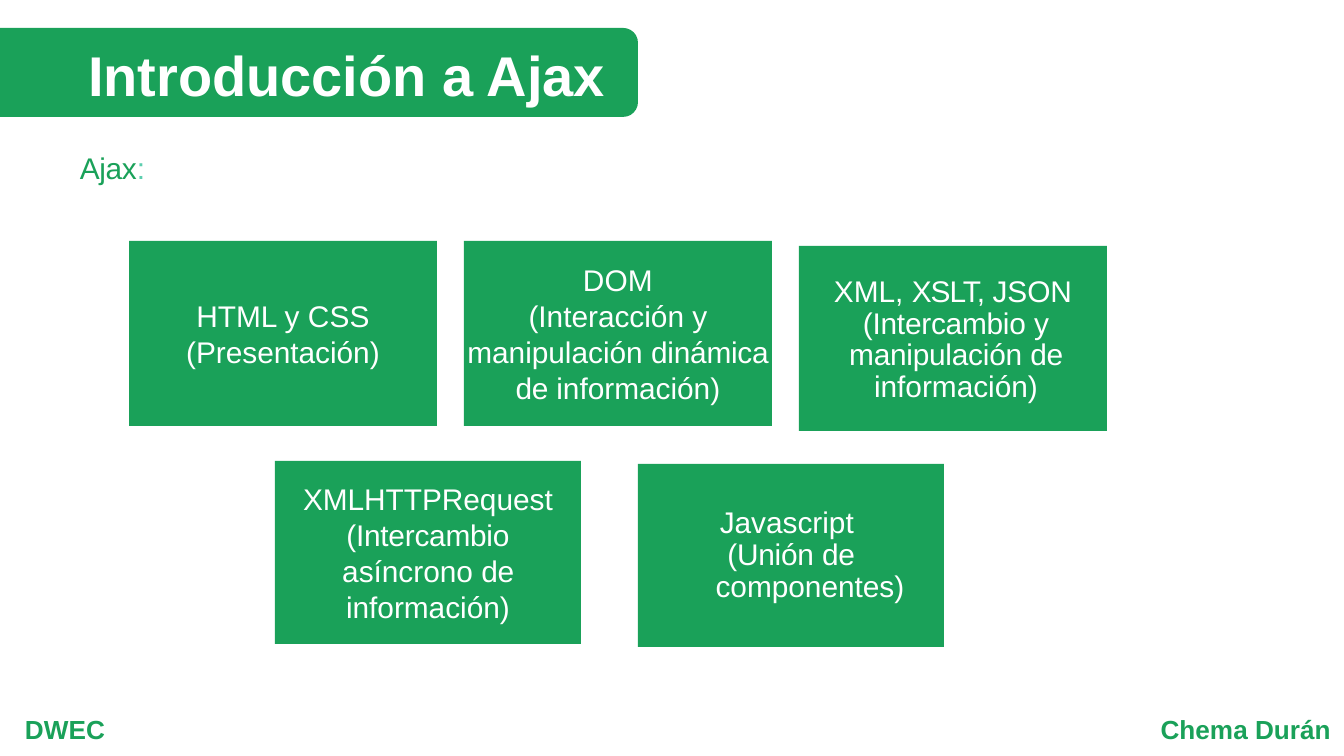
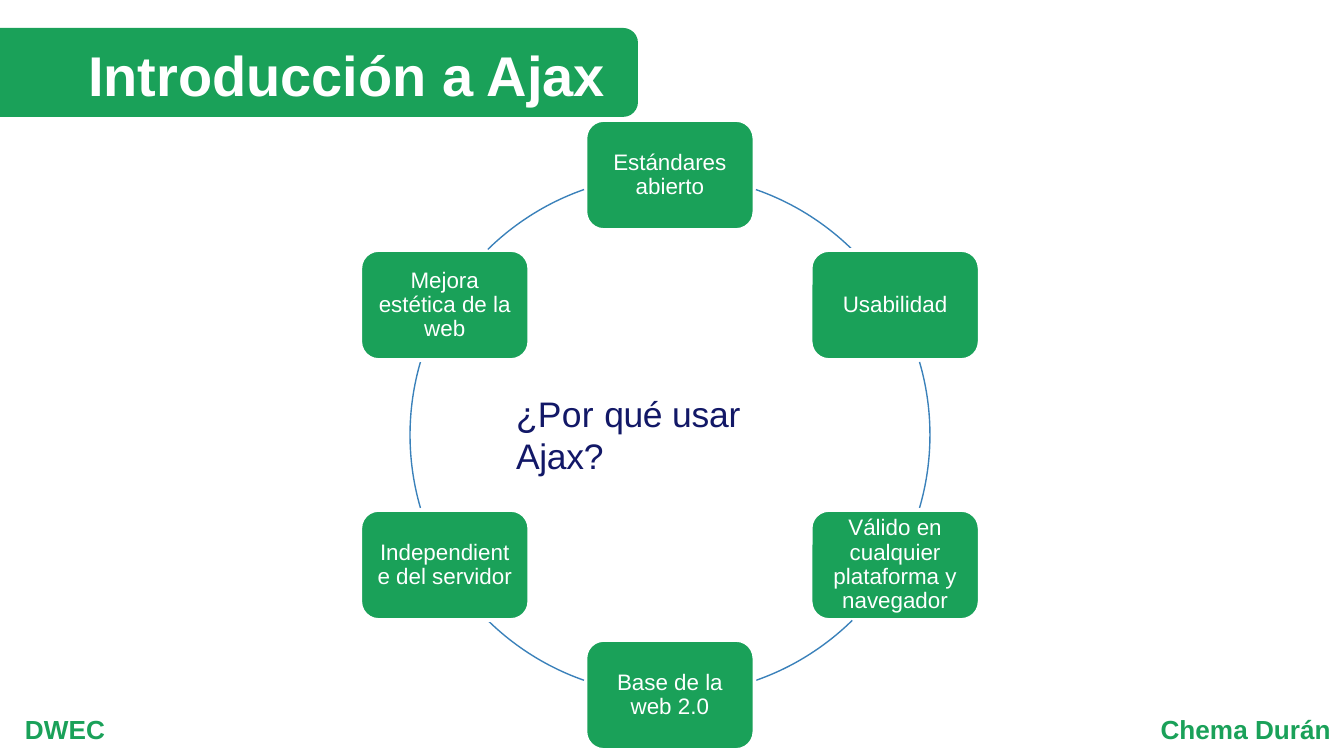
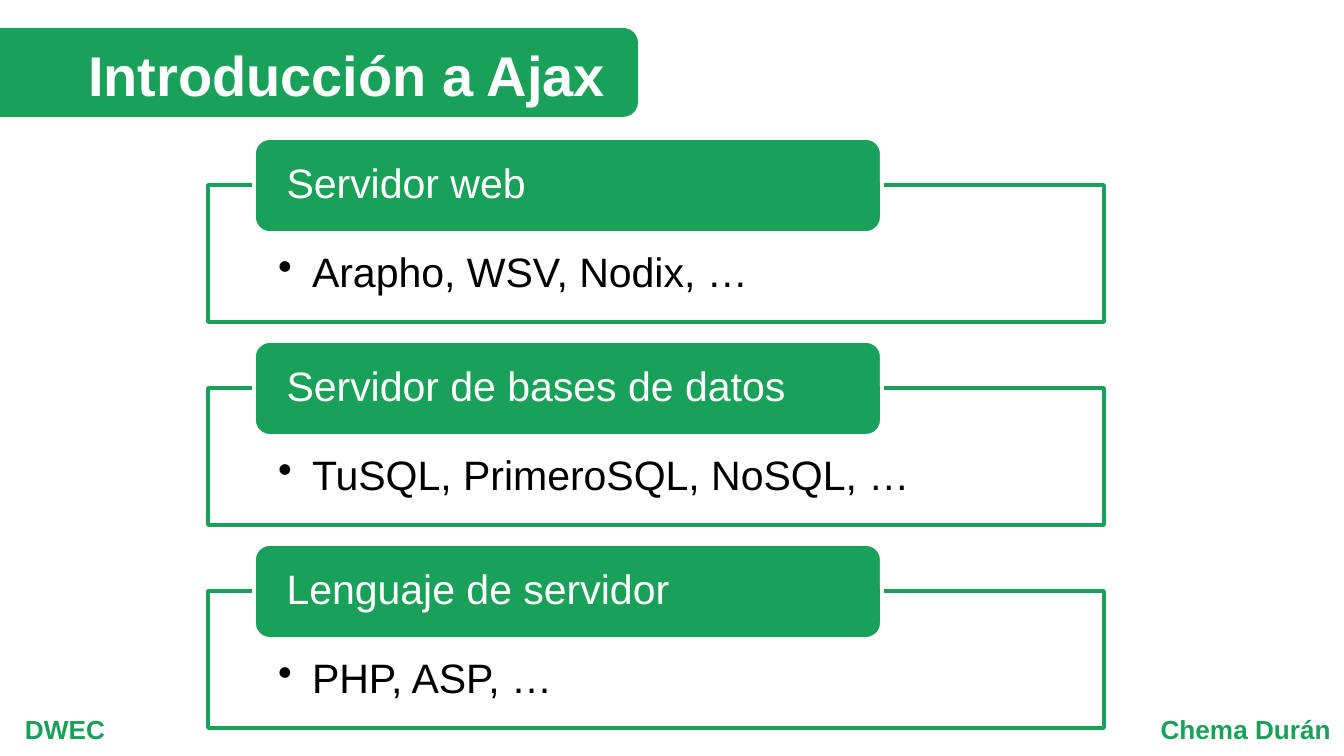
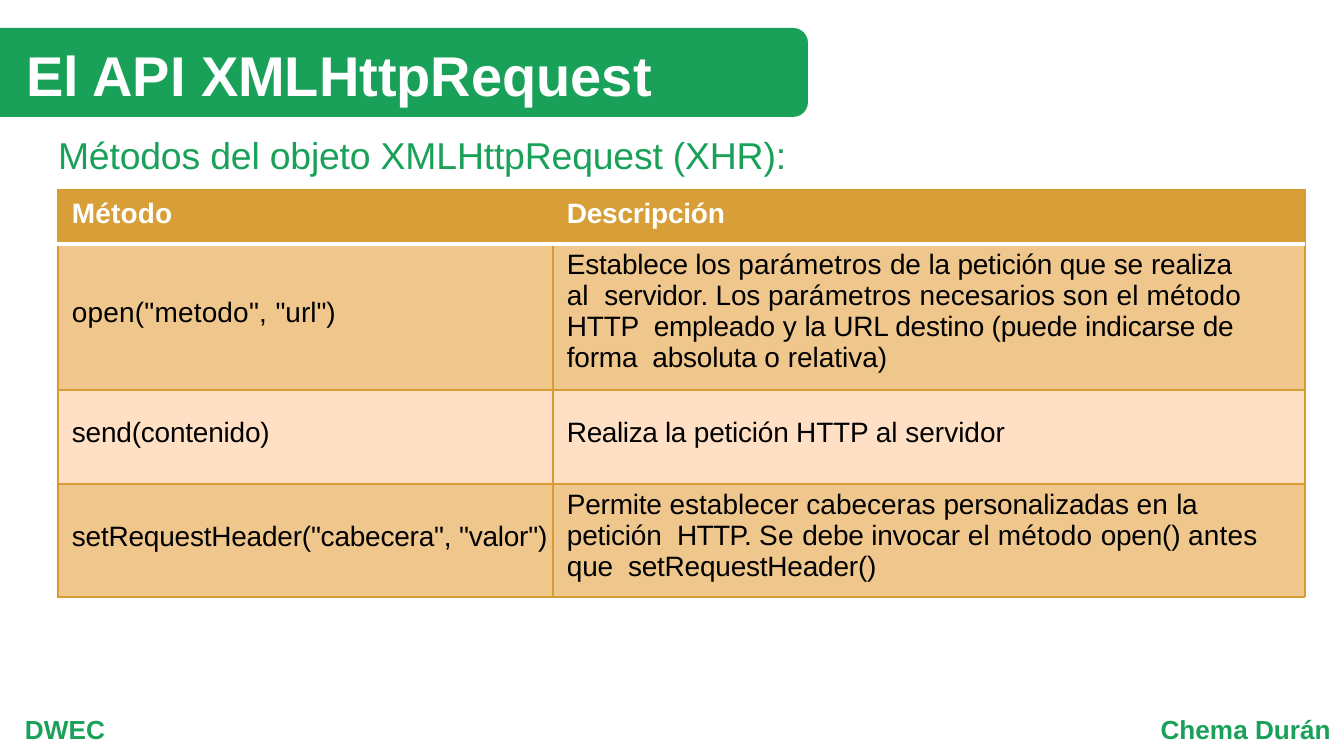
from dataclasses import dataclass
from math import cos, radians, sin

from lxml import etree
from pptx import Presentation
from pptx.dml.color import RGBColor
from pptx.enum.shapes import MSO_SHAPE as SHAPE
from pptx.enum.text import MSO_ANCHOR as ANCHOR, MSO_AUTO_SIZE as AUTO, PP_ALIGN as ALIGN
from pptx.oxml.ns import qn
from pptx.util import Emu, Pt

GREEN = RGBColor(0x1A, 0xA1, 0x59)
MINT = RGBColor(0x5D, 0xCE, 0xAF)
WHITE = RGBColor(0xFF, 0xFF, 0xFF)
BLACK = RGBColor(0, 0, 0)
NAVY = RGBColor(0x12, 0x18, 0x67)
BLUE = RGBColor(0x3A, 0x81, 0xBA)
GOLD = RGBColor(0xD8, 0x9F, 0x39)
GOLD_LINE = RGBColor(0xD7, 0x9D, 0x34)
SAND = RGBColor(0xEF, 0xC6, 0x8C)
CREAM = RGBColor(0xFF, 0xE0, 0xC4)

FONT = "Arial"
WIDTH, HEIGHT = 1344, 756
SCALE = 914400 / 134.4


def px(n):
    return Emu(round(n * SCALE))


@dataclass
class Para:
    """Runs are (text, letter spacing in points[, colour]); lengths are px."""
    runs: list
    left: int = 0
    right: int = 0
    indent: int = 0
    line: object = None
    bullet: str = ""


def plain(text, **fmt):
    return Para([(text, 0)], **fmt)


class Deck:
    def __init__(self):
        self.prs = Presentation()
        self.prs.slide_width, self.prs.slide_height = px(WIDTH), px(HEIGHT)
        self.slide = None

    # Slide with title band and footers
    def new_slide(self, title, band_width, indent=0):
        self.slide = self.prs.slides.add_slide(self.prs.slide_layouts[5])
        top, height = 28, 89
        band = self.shape(SHAPE.ROUND_2_SAME_RECTANGLE, (band_width - height) / 2,
                          top + (height - band_width) / 2, height, band_width, GREEN)
        band.rotation = 90
        sp = self.slide.shapes.title
        sp.element.addprevious(band.element)
        sp.left, sp.top, sp.width, sp.height = px(13), px(top), px(band_width - 13), px(60)
        self.set_text(sp.text_frame, [plain(title, left=indent)], 30, WHITE, bold=True)
        self.text(952, 700, 392, 64, [plain("Chema Durán")], 14, GREEN,
                  bold=True, align=ALIGN.RIGHT)
        self.text(12, 700, 392, 64, [plain("DWEC")], 14, GREEN, bold=True)

    def shape(self, kind, x, y, w, h, fill=None, line=None, line_pt=2):
        sp = self.slide.shapes.add_shape(kind, px(x), px(y), px(w), px(h))
        sp.shadow.inherit = False
        if fill is None:
            sp.fill.background()
        else:
            sp.fill.solid()
            sp.fill.fore_color.rgb = fill
        if line is None:
            sp.line.fill.background()
        else:
            sp.line.color.rgb = line
            sp.line.width = Pt(line_pt)
        return sp

    def text(self, x, y, w, h, paras, size, color, **style):
        sp = self.slide.shapes.add_textbox(px(x), px(y), px(w), px(h))
        self.set_text(sp.text_frame, paras, size, color, **style)

    def set_text(self, tf, paras, size, color, bold=False, align=ALIGN.LEFT,
                 anchor=ANCHOR.TOP, inset=(13, 13, 13, 13)):
        tf.word_wrap = True
        tf.auto_size = AUTO.NONE
        tf.vertical_anchor = anchor
        tf.margin_left, tf.margin_top, tf.margin_right, tf.margin_bottom = map(px, inset)
        self.fill_text(tf, paras, size, color, bold, align)

    def fill_text(self, tf, paras, size, color, bold=False, align=ALIGN.LEFT):
        for i, para in enumerate(paras):
            p = tf.paragraphs[0] if i == 0 else tf.add_paragraph()
            p.alignment = align
            if para.line:
                p.line_spacing = para.line
            pPr = p._p.get_or_add_pPr()
            for name, value in (("marL", para.left), ("marR", para.right),
                                ("indent", para.indent)):
                pPr.set(name, str(px(value)))
            if para.bullet:
                etree.SubElement(pPr, qn("a:buChar")).set("char", para.bullet)
            for text, spacing, *own in para.runs:
                for n, part in enumerate(text.split("\n")):
                    if n:
                        p.add_line_break()
                    if not part:
                        continue
                    r = p.add_run()
                    r.text = part
                    r.font.name, r.font.size, r.font.bold = FONT, Pt(size), bold
                    r.font.color.rgb = own[0] if own else color
                    if spacing:
                        r._r.get_or_add_rPr().set("spc", str(round(spacing * 100)))

    def table(self, x, y, widths, heights):
        frame = self.slide.shapes.add_table(len(heights), len(widths), px(x), px(y),
                                            px(sum(widths)), px(sum(heights)))
        tbl = frame.table
        for col, w in zip(tbl.columns, widths):
            col.width = px(w)
        for row, h in zip(tbl.rows, heights):
            row.height = px(h)
        return tbl

    def cell(self, cell, para, fill, color, top, bottom, right, anchor, bold, white_side):
        cell.fill.solid()
        cell.fill.fore_color.rgb = fill
        cell.margin_left, cell.margin_top = px(14), px(top)
        cell.margin_right, cell.margin_bottom = px(right), px(bottom)
        cell.vertical_anchor = anchor
        self.fill_text(cell.text_frame, [para], 15, color, bold)
        tcPr = cell._tc.get_or_add_tcPr()
        for i, side in enumerate(("lnL", "lnR", "lnT", "lnB")):
            rgb, width = (WHITE, 2) if side == white_side else (GOLD_LINE, 0.75)
            ln = etree.Element(qn("a:" + side), w=str(Pt(width)))
            solid = etree.SubElement(ln, qn("a:solidFill"))
            etree.SubElement(solid, qn("a:srgbClr")).set("val", str(rgb))
            tcPr.insert(i, ln)

    # Slide 1: technologies
    def technologies(self):
        self.new_slide("Introducción a Ajax", 638, indent=62)
        self.text(67, 137, 981, 64, [Para([("Ajax", -0.2), (":", -0.2, MINT)])], 16, GREEN)
        hang = dict(left=58, right=20, indent=-38, line=Pt(17))
        top_size, low_size = (308, 185), (306, 183)
        boxes = [
            (129, 241, top_size, [Para([("HTML y ", 0), ("CSS", 0.1)]),
                                  plain("(Presentación)")]),
            (464, 241, top_size, [Para([("DOM\n", 0.1), ("(Interacción y ", 0),
                                        ("manipulación ", 0), ("dinámica ", -0.1),
                                        ("de ", -0.2), ("información)", 0)])]),
            (799, 246, top_size, [
                Para([("XML, ", 0), ("XSLT, ", -0.5), ("JSON", 0)], line=Pt(18.7)),
                Para([("(Intercambio ", -0.1), ("y ", 0), ("manipulación ", -0.1),
                      ("de ", -0.2), ("información)", 0)],
                     left=43, right=37, line=Pt(17))]),
            (275, 461, low_size, [Para([("XMLHTTPRequest ", 0), ("(Intercambio\n", -0.1),
                                        ("asíncrono ", 0), ("de ", -0.2),
                                        ("información)", 0)])]),
            (638, 464, low_size, [
                plain("Javascript ", **hang),
                Para([("(Unión ", -0.1), ("de ", -0.2), ("componentes)", 0)], **hang)]),
        ]
        for x, y, (w, h), paras in boxes:
            sp = self.shape(SHAPE.RECTANGLE, x, y, w, h, GREEN)
            self.set_text(sp.text_frame, paras, 16, WHITE, align=ALIGN.CENTER,
                          anchor=ANCHOR.MIDDLE, inset=(0, 0, 0, 0))

    # Slide 2: ring of reasons
    def reasons(self):
        self.new_slide("Introducción a Ajax", 638, indent=62)
        cx, cy, radius = 670, 435, 260
        node_w, node_h = 169, 110
        half_ring = [(19.3, 44.5), (73.7, 106.3), (135.5, 160.7)]
        arcs = half_ring + [(a + 180, b + 180) for a, b in half_ring]
        reasons = ["Estándares abierto", "Usabilidad",
                   "Válido en cualquier plataforma y navegador", "Base de la web 2.0",
                   "Independiente del servidor", "Mejora estética de la web"]
        for i, (reason, arc) in enumerate(zip(reasons, arcs)):
            angle = radians(60 * i)
            node = self.shape(SHAPE.ROUNDED_RECTANGLE,
                              cx + radius * sin(angle) - node_w / 2,
                              cy - radius * cos(angle) - node_h / 2,
                              node_w, node_h, GREEN, WHITE)
            self.set_text(node.text_frame, [plain(reason, line=0.9)], 12, WHITE,
                          align=ALIGN.CENTER, anchor=ANCHOR.MIDDLE, inset=(10, 10, 10, 10))
            link = self.shape(SHAPE.ARC, cx - radius, cy - radius, 2 * radius, 2 * radius,
                              line=BLUE, line_pt=0.75)
            # Angles run clockwise from the right, in 60000ths of a degree
            for n, degrees in enumerate(arc):
                link.adjustments[n] = (degrees - 90) % 360 * 0.6
        question = Para([("¿Por ", 0.2), ("qué ", -0.2), ("usar Ajax?", -0.1)], left=1)
        self.text(515, 391, 313, 44, [question], 19, NAVY, inset=(0, 1, 0, 0))

    # Slide 3: server software
    def servers(self):
        self.new_slide("Introducción a Ajax", 638, indent=62)
        groups = [("Servidor web", "Arapho, WSV, Nodix, …"),
                  ("Servidor de bases de datos", "TuSQL, PrimeroSQL, NoSQL, …"),
                  ("Lenguaje de servidor", "PHP, ASP, …")]
        for i, (heading, examples) in enumerate(groups):
            y = 138 + 203 * i
            frame = self.shape(SHAPE.RECTANGLE, 208, y + 47, 896, 137, WHITE, GREEN)
            self.set_text(frame.text_frame,
                          [plain(examples, left=34, indent=-34, line=0.9, bullet="•")],
                          22, BLACK, inset=(70, 67, 70, 23))
            tab = self.shape(SHAPE.ROUNDED_RECTANGLE, 254, y, 628, 95, GREEN, WHITE)
            self.set_text(tab.text_frame, [plain(heading, line=0.9)], 22, WHITE,
                          anchor=ANCHOR.MIDDLE, inset=(28, 0, 28, 0))

    # Slide 4: table of methods
    def methods(self):
        self.new_slide("El API XMLHttpRequest", 808)
        self.text(44, 125, 1172, 59,
                  [Para([("Métodos del objeto XMLHttpRequest (XHR):", -0.1)], left=1)],
                  20, GREEN, inset=(13, 7, 13, 7))
        rows = [
            ([("Método", 0.1)], [("Descripción", -0.1)]),
            ([('open("metodo", ', 0.1), ('"url")', 0)],
             [("Establece los ", -0.1), ("parámetros ", 0.1), ("de ", -0.1), ("la ", -0.2),
              ("petición que ", -0.1), ("se ", 0), ("realiza ", -0.1), ("al  ", 0),
              ("servidor. Los ", -0.1), ("parámetros ", 0.1), ("necesarios ", 0),
              ("son el método ", 0.1), ("HTTP  empleado ", -0.1), ("y ", 0), ("la ", -0.2),
              ("URL destino (puede indicarse de forma  absoluta ", -0.1),
              ("o relativa)", 0)]),
            ([("send(contenido)", -0.1)],
             [("Realiza la ", -0.2), ("petición HTTP ", -0.1), ("al servidor", 0)]),
            ([('setRequestHeader("cabecera", "valor")', -0.1)],
             [("Permite ", -0.1), ("establecer cabeceras ", 0), ("personalizadas ", -0.1),
              ("en ", 0.1), ("la ", -0.2), ("petición  ", -0.1), ("HTTP. ", -0.3),
              ("Se ", 0.2), ("debe invocar ", -0.1), ("el método ", 0.1),
              ("open() ", -0.1), ("antes ", 0.1), ("que  setRequestHeader()", -0.1)]),
        ]
        fills = [GOLD, SAND, CREAM, SAND]
        white_sides = {0: "lnB", 1: "lnT"}
        tbl = self.table(58, 190, [495, 752], [54, 146, 94, 113])
        for i, row in enumerate(rows):
            for j, runs in enumerate(row):
                header = i == 0
                long_text = j == 1 and i in (1, 3)
                at_top = header or long_text
                self.cell(tbl.cell(i, j), Para(runs), fills[i],
                          WHITE if header else BLACK,
                          top=8 if header else 5 if long_text else 0,
                          bottom=0 if at_top else 8,
                          right=44 if j else 0,
                          anchor=ANCHOR.TOP if at_top else ANCHOR.MIDDLE,
                          bold=header, white_side=white_sides.get(i))


def main():
    deck = Deck()
    deck.technologies()
    deck.reasons()
    deck.servers()
    deck.methods()
    deck.prs.save("out.pptx")


if __name__ == "__main__":
    main()
